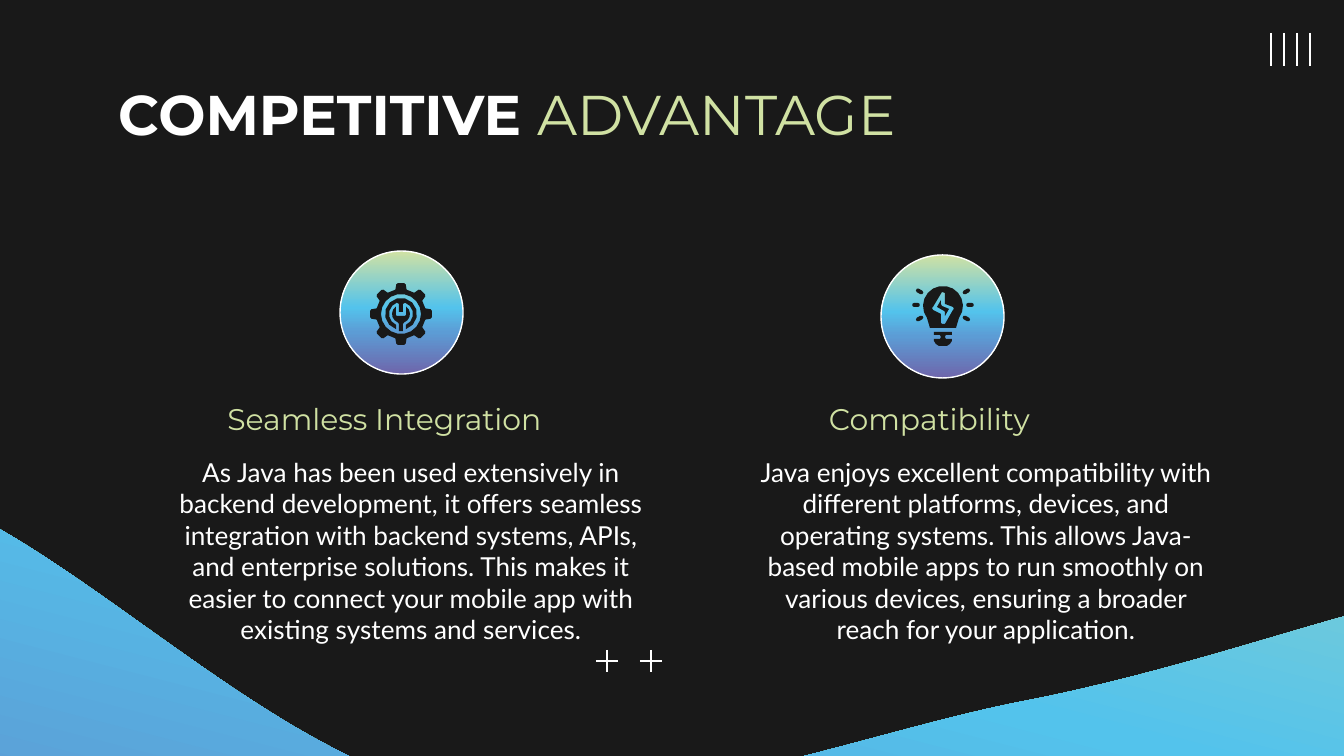
from math import ceil, cos, sin, radians

from lxml import etree
from pptx import Presentation
from pptx import util as u
from pptx.dml.color import RGBColor
from pptx.enum import shapes, text
from pptx.oxml.ns import qn

DARK = RGBColor(0x19, 0x19, 0x19)
WHITE = RGBColor(0xFF, 0xFF, 0xFF)
LIME = RGBColor(0xD0, 0xE1, 0xA3)
SKY = RGBColor(0x53, 0xC3, 0xEC)
BLUE = RGBColor(0x5C, 0x9C, 0xD5)
PLUM = RGBColor(0x6E, 0x66, 0xAB)
STOPS = [(0, LIME), (46, SKY), (66, BLUE), (100, PLUM)]
SCALE = 914400 / 134.4
TILT = 14.5
HEAD, BODY = "Montserrat", "Lato"


def px(n):
    return u.Emu(round(n * SCALE))


def polar(x, y, r, a):
    return x + r * cos(radians(a)), y + r * sin(radians(a))


def arc(x, y, r, a, b, step=30):
    n = ceil(abs(b - a) / step)
    return [polar(x, y, r, a + (b - a) * i / n) for i in range(n + 1)]


def turn(pts, a):
    c, s = cos(radians(a)), sin(radians(a))
    return [(p * c - q * s, p * s + q * c) for p, q in pts]


class Deck:
    def __init__(self):
        self.show = Presentation()
        self.show.slide_width, self.show.slide_height = px(1344), px(756)
        self.slide = self.show.slides.add_slide(self.show.slide_layouts[6])
        self.slide.background.fill.solid()
        self.slide.background.fill.fore_color.rgb = DARK
        self.shapes = self.slide.shapes

    def blend(self, shape):
        shape.shadow.inherit = False
        shape.fill.gradient()
        shape.fill.gradient_angle = 270
        stops = shape._element.spPr.find(".//" + qn("a:gsLst"))
        for old in list(stops):
            stops.remove(old)
        for at, tint in STOPS:
            stop = etree.SubElement(stops, qn("a:gs"), pos=str(at * 1000))
            etree.SubElement(stop, qn("a:srgbClr"), val=str(tint))

    def free(self, *rings, x=0, y=0):
        paths = [[(px(x + p), px(y + q)) for p, q in ring] for ring in rings]
        build = self.shapes.build_freeform(*paths[0][0])
        build.add_line_segments(paths[0][1:], close=True)
        for path in paths[1:]:
            build.move_to(*path[0])
            build.add_line_segments(path[1:], close=True)
        shape = build.convert_to_shape()
        shape.shadow.inherit = False
        shape.fill.solid()
        shape.fill.fore_color.rgb = DARK
        shape.line.fill.background()
        return shape

    def bend(self, shape):
        steps = shape._element.spPr.findall(".//" + qn("a:lnTo"))
        for i in range(0, len(steps) - 2, 3):
            cubic = etree.Element(qn("a:cubicBezTo"))
            steps[i].addprevious(cubic)
            for step in steps[i:i + 3]:
                cubic.append(step[0])
                step.getparent().remove(step)

    def line(self, x1, y1, x2, y2):
        line = self.shapes.add_connector(shapes.MSO_CONNECTOR.STRAIGHT,
                                         px(x1), px(y1), px(x2), px(y2))
        line.line.color.rgb = WHITE
        line.line.width = u.Pt(1.5)
        etree.SubElement(line._element.spPr, qn("a:effectLst"))

    def disc(self, x, y, size):
        disc = self.shapes.add_shape(shapes.MSO_SHAPE.OVAL, px(x), px(y), px(size), px(size))
        self.blend(disc)
        disc.line.color.rgb = WHITE
        disc.line.width = u.Pt(0.75)

    def text(self, words, x, y, w, h, size, font, tint, mid=False, left=False):
        frame = self.shapes.add_textbox(px(x), px(y), px(w), px(h)).text_frame
        frame.word_wrap = True
        frame.margin_left = frame.margin_right = u.Inches(0.1)
        frame.margin_top = frame.margin_bottom = u.Inches(0.1)
        frame.vertical_anchor = text.MSO_ANCHOR.MIDDLE if mid else text.MSO_ANCHOR.TOP
        par = frame.paragraphs[0]
        par.alignment = text.PP_ALIGN.LEFT if left else text.PP_ALIGN.CENTER
        par.font.size, par.font.name = u.Pt(size), font
        par.font.color.rgb = tint
        par.text = words
        return par

    def wave(self):
        flat = turn([
            (-500, 694), (-536, 641), (-281, 466), (-124, 482),
            (34, 499), (253, 753), (444, 789), (634, 825), (857, 734), (1020, 702),
            (1181, 671), (1322, 618), (1414, 599), (1505, 581), (1540, 573), (1570, 587),
            (1601, 601), (1611, 590), (1597, 684), (1582, 780), (1669, 1117), (1480, 1156),
            (1290, 1195), (689, 978), (458, 919), (228, 860), (257, 836), (97, 798),
            (-63, 761), (-462, 746), (-500, 694)], -TILT)
        wave = self.free(flat)
        self.bend(wave)
        mid = [(min(axis) + max(axis)) / 2 for axis in zip(*flat)]
        spot = turn([mid], TILT)[0]
        wave.left += px(spot[0] - mid[0])
        wave.top += px(spot[1] - mid[1])
        wave.rotation = TILT
        self.blend(wave)

    def gear(self, x, y):
        rim = []
        for a in range(0, 360, 45):
            rim += [polar(0, 0, r, a + d)
                    for r, d in ((25, -13), (30, -9), (31, -6), (31, 6), (30, 9), (25, 13))]
        self.free(rim, arc(0, 0, 20, 0, 360, 20), x=x, y=y)
        self.free(arc(0, 0, 16, 108, 432) + arc(0, 0, 12, 66, -70)
                  + [(2, -10), (2, -2), (-2, -2), (-2, -10)]
                  + arc(0, 0, 12, 250, 114), x=x, y=y)
        self.free(arc(0, 0, 9, 235, 110) + [(-2, 10), (-2, 17), (2, 17), (2, 10)]
                  + arc(0, 0, 9, 70, -55) + [(5, 1), (4, 2), (-4, 2), (-5, 1)], x=x, y=y)

    def bulb(self, x, y):
        for a in (-30, 0, 30, 150, 180, 210):
            near, far = polar(0, -11, 25, a), polar(0, -11, 29, a)
            self.free(arc(*near, 2, a + 90, a + 270, 60) + arc(*far, 2, a - 90, a + 90, 60),
                      x=x, y=y)
        bolt = [(-1, -24), (2, -23), (2, -12), (10, -9), (11, -7), (10, -6), (2, 8),
                (-1, 8), (-2, 7), (-2, -2), (-10, -6), (-11, -8), (-10, -9)]
        self.free(arc(0, -10, 20, 143, 397, 20) + [(13, 12), (-13, 12)], bolt, x=x, y=y)
        self.free([(-2, -16), (-6, -9), (1, -5), (2, -4), (2, 0), (6, -7), (-1, -10),
                   (-2, -12)], x=x, y=y)
        half = [(9, 16), (9, 19), (3, 19), (2, 21), (3, 23), (9, 23), (9, 25), (7, 28), (4, 30)]
        self.free(half + [(-p, q) for p, q in reversed(half)], x=x, y=y)


def main():
    deck = Deck()
    deck.wave()
    for x in (607, 651):
        deck.line(x - 11, 661, x + 11, 661)
        deck.line(x, 650, x, 672)
    for i in range(4):
        deck.line(1271 + 13 * i, 33, 1271 + 13 * i, 66)

    title = deck.text("COMPETITIVE ", 105, 66, 1075, 95, 30, HEAD, WHITE, left=True)
    title.runs[0].font.bold = True
    tail = title.add_run()
    tail.text = "ADVANTAGE"
    tail.font.color.rgb = LIME

    deck.text("As Java has been used extensively in backend development, it offers seamless "
              "integration with backend systems, APIs, and enterprise solutions. This makes it "
              "easier to connect your mobile app with existing systems and services.",
              150, 443, 522, 223, 14, BODY, WHITE)
    deck.text("Java enjoys excellent compatibility with different platforms, devices, and "
              "operating systems. This allows Java-based mobile apps to run smoothly on "
              "various devices, ensuring a broader reach for your application.",
              742, 443, 488, 249, 14, BODY, WHITE)
    deck.text("Seamless Integration", 200, 387, 369, 63, 16, HEAD, LIME, mid=True)
    deck.text("Compatibility", 785, 387, 289, 63, 16, HEAD, LIME, mid=True)

    deck.disc(340, 251, 123)
    deck.disc(881, 255, 123)
    deck.gear(401, 314)
    deck.bulb(943, 316)
    deck.show.save("out.pptx")


if __name__ == "__main__":
    main()
